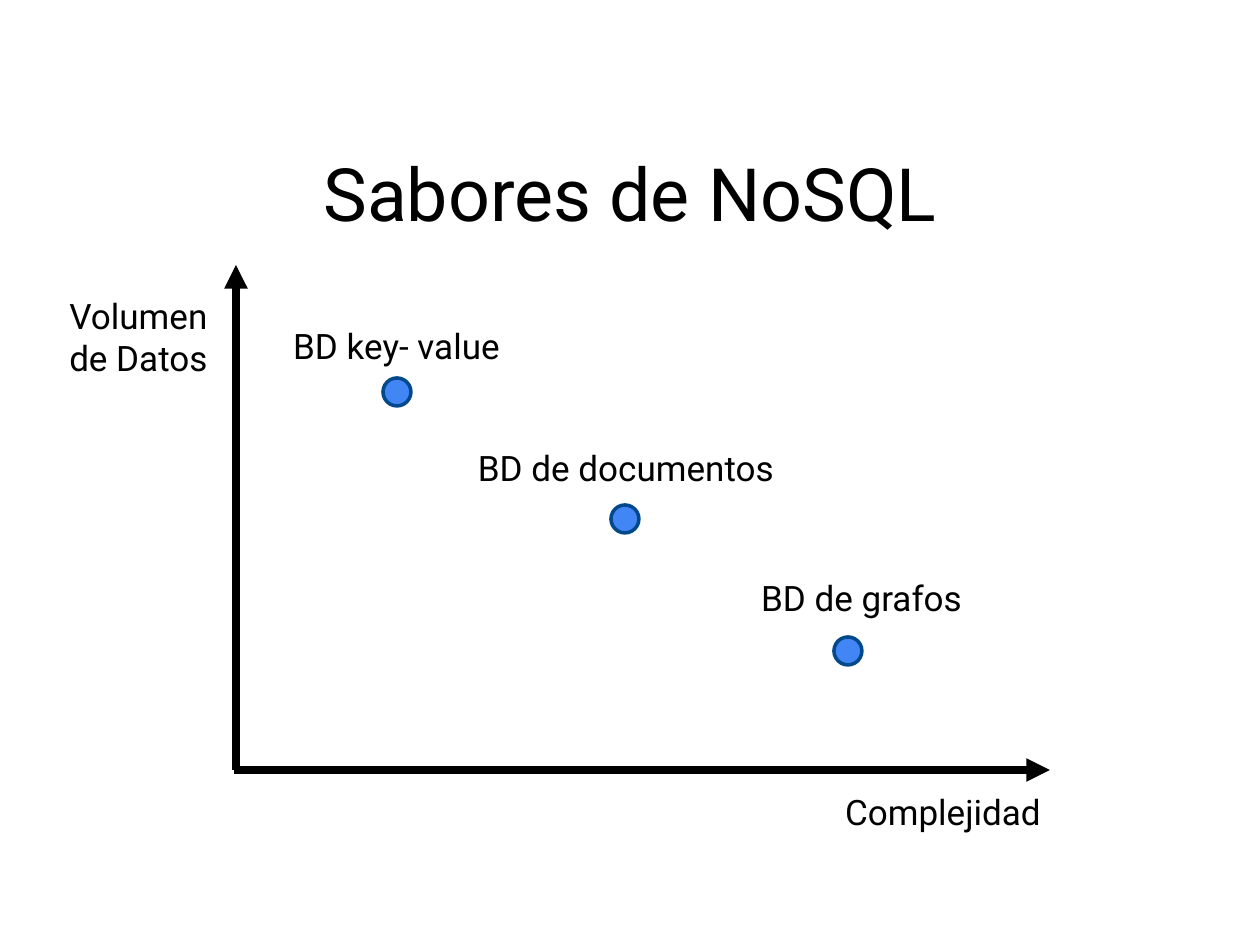
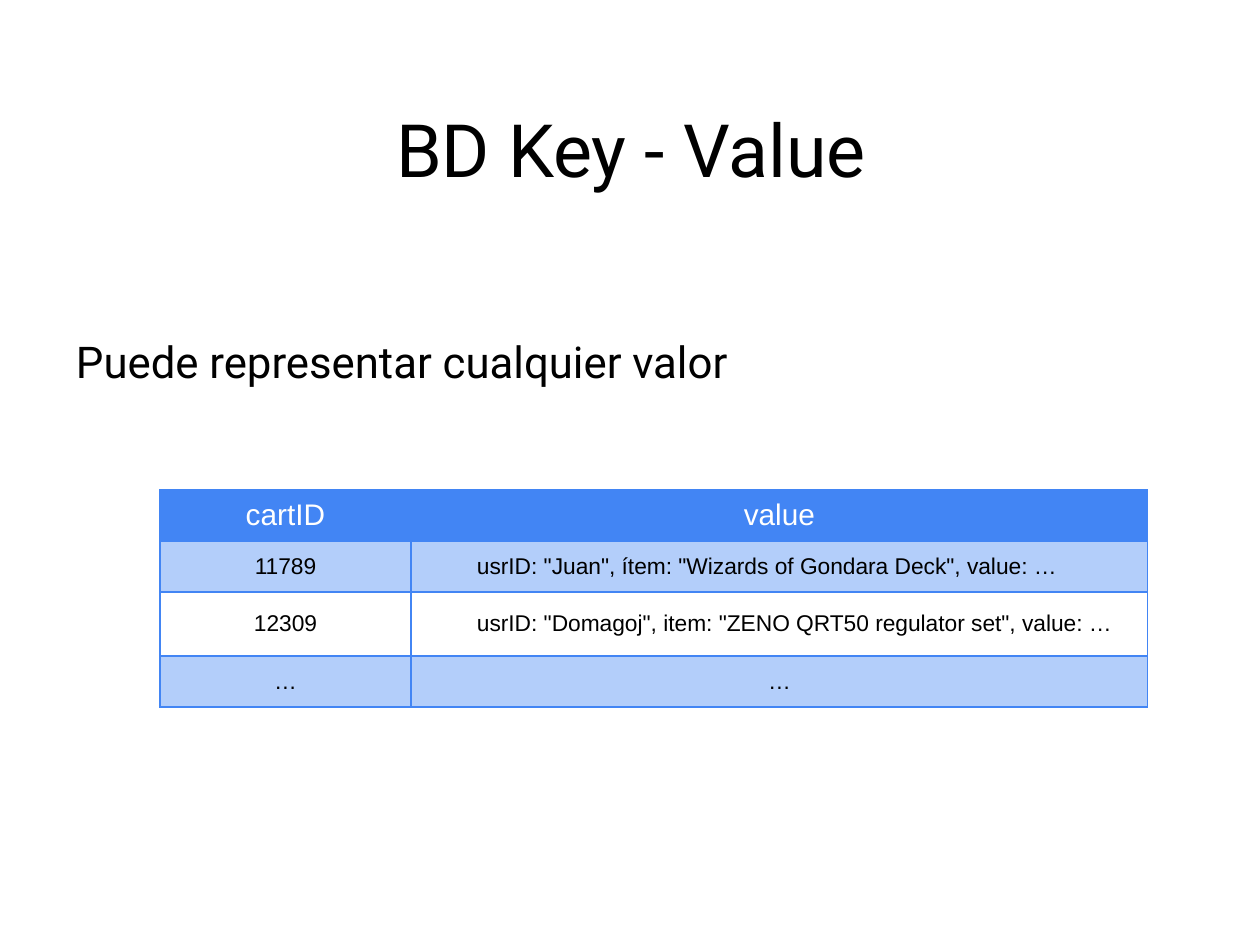
from lxml.etree import SubElement
from pptx import Presentation
from pptx.dml.color import RGBColor
from pptx.enum.shapes import MSO_CONNECTOR as CONN, MSO_SHAPE as SHAPE
from pptx.enum.text import MSO_ANCHOR as ANCHOR, MSO_AUTO_SIZE as AUTO, PP_ALIGN as ALIGN
from pptx.oxml.ns import qn
from pptx.util import Emu, Pt

PX_PER_INCH = 126
BLACK, WHITE, BLUE, NAVY = "000000", "FFFFFF", "4285F4", "02498C"
HEAD_FONT, CELL_FONT = "Roboto", "Arial"

LABELS = [
    ("BD key- value", (223, 319, 347, 52)),
    ("BD de documentos", (469, 442, 314, 52)),
    ("BD de grafos", (713, 571, 297, 52)),
    ("Complejidad", (820, 785, 246, 52)),
    ("Volumen\nde Datos", (44, 289, 189, 93)),
]
MARKERS = [(383, 378), (611, 505), (834, 637)]
AXES = [(234, 770, 1050, 770), (236, 770, 236, 265)]
CARTS = [
    ("cartID", "value"),
    ("11789", 'usrID: "Juan", ítem: "Wizards of Gondara Deck", value: …'),
    ("12309", 'usrID: "Domagoj", item: "ZENO QRT50 regulator set", value: …'),
    ("…", "…"),
]
COL_WIDTHS = (251, 737)
ROW_HEIGHTS = (51, 51, 64, 51)


def px(n):
    """Turn pixels into EMU."""
    return Emu(round(n * 914400 / PX_PER_INCH))


def rgb(color):
    """Turn a hex string into a colour."""
    return RGBColor.from_string(color)


def write(tf, text, size=20, font=HEAD_FONT, color=BLACK, align=ALIGN.CENTER,
          anchor=ANCHOR.TOP, margins=(9, 5)):
    """Fill a text frame, one paragraph for each line of text."""
    tf.word_wrap = True
    tf.auto_size = AUTO.NONE
    tf.vertical_anchor = anchor
    tf.margin_left = tf.margin_right = px(margins[0])
    tf.margin_top = tf.margin_bottom = px(margins[1])
    for i, line in enumerate(text.split("\n")):
        p = tf.add_paragraph() if i else tf.paragraphs[0]
        p.alignment = align
        p.space_before = Pt(0)
        r = p.add_run()
        r.text = line
        r.font.size, r.font.name = Pt(size), font
        r.font.color.rgb = rgb(color)


def place(sp, box):
    """Move and size a shape."""
    sp.left, sp.top, sp.width, sp.height = map(px, box)


def add_slide(prs, layout, title, box):
    """Add a slide with its title."""
    s = prs.slides.add_slide(prs.slide_layouts.get_by_name(layout))
    place(s.shapes.title, box)
    write(s.shapes.title.text_frame, title, size=42, anchor=ANCHOR.MIDDLE, margins=(5, 5))
    return s


def add_body(s, text, box):
    """Fill the body placeholder with a paragraph without a bullet."""
    sp = s.placeholders[1]
    place(sp, box)
    write(sp.text_frame, text, size=25, align=ALIGN.JUSTIFY, anchor=ANCHOR.MIDDLE, margins=(5, 5))
    pPr = sp.text_frame.paragraphs[0]._p.get_or_add_pPr()
    pPr.set("marL", "0")
    pPr.set("indent", "0")
    SubElement(pPr, qn("a:buNone"))


def add_label(s, text, box):
    """Add a text box."""
    write(s.shapes.add_textbox(*map(px, box)).text_frame, text)


def add_axis(s, ends):
    """Add a thick line that ends in an arrowhead."""
    sp = s.shapes.add_connector(CONN.STRAIGHT, *map(px, ends))
    sp.line.color.rgb = rgb(BLACK)
    sp.line.width = Pt(4.5)
    SubElement(sp.line._get_or_add_ln(), qn("a:tailEnd"), type="triangle")
    SubElement(sp._element.spPr, qn("a:effectLst"))


def add_marker(s, left, top, size=28):
    """Add a round data point."""
    sp = s.shapes.add_shape(SHAPE.FLOWCHART_CONNECTOR, *map(px, (left, top, size, size)))
    sp.shadow.inherit = False
    sp.fill.solid()
    sp.fill.fore_color.rgb = rgb(BLUE)
    sp.line.color.rgb = rgb(NAVY)
    sp.line.width = Pt(2)


def add_borders(cell):
    """Draw the four borders of a cell ahead of its fill."""
    tcPr = cell._tc.get_or_add_tcPr()
    for i, side in enumerate(("lnL", "lnR", "lnT", "lnB")):
        ln = SubElement(tcPr, qn(f"a:{side}"), w=str(Pt(0.75)))
        SubElement(SubElement(ln, qn("a:solidFill")), qn("a:srgbClr"), val=BLUE)
        tcPr.insert(i, ln)


def fill_cell(cell, row):
    """Fill the header solid and the odd rows pale."""
    if row and row % 2 == 0:
        cell.fill.background()
        return
    cell.fill.solid()
    cell.fill.fore_color.rgb = rgb(BLUE)
    if row:
        clr = cell._tc.tcPr.find(".//" + qn("a:srgbClr"))
        SubElement(clr, qn("a:alpha"), val="40000")


def add_cart_table(s, left, top):
    """Add the table of keys and values."""
    size = sum(COL_WIDTHS), sum(ROW_HEIGHTS)
    frame = s.shapes.add_table(len(CARTS), len(COL_WIDTHS), *map(px, (left, top, *size)))
    table = frame.table
    table.first_row = table.horz_banding = False
    for col, width in zip(table.columns, COL_WIDTHS):
        col.width = px(width)
    for i, (texts, height) in enumerate(zip(CARTS, ROW_HEIGHTS)):
        table.rows[i].height = px(height)
        for j, text in enumerate(texts):
            cell = table.cell(i, j)
            is_value = text.startswith("usrID")
            write(cell.text_frame, text, size=13 if i else 17, font=CELL_FONT,
                  color=BLACK if i else WHITE, align=ALIGN.LEFT if is_value else ALIGN.CENTER)
            cell.vertical_anchor = ANCHOR.MIDDLE
            cell.margin_left, cell.margin_right = px(66 if is_value else 9), px(9)
            cell.margin_top = cell.margin_bottom = px(5)
            fill_cell(cell, i)
            add_borders(cell)


def main():
    """Build both slides."""
    prs = Presentation()
    prs.slide_width, prs.slide_height = px(1260), px(945)

    s = add_slide(prs, "Title Only", "Sabores de NoSQL", (315, 98, 630, 188))
    for ends in AXES:
        add_axis(s, ends)
    for text, box in LABELS:
        add_label(s, text, box)
    for left, top in MARKERS:
        add_marker(s, left, top)

    s = add_slide(prs, "Title and Content", "BD Key - Value", (377, 98, 508, 100))
    add_body(s, "Puede representar cualquier valor", (71, 329, 1119, 63))
    add_cart_table(s, 160, 490)

    prs.save("out.pptx")


if __name__ == "__main__":
    main()
